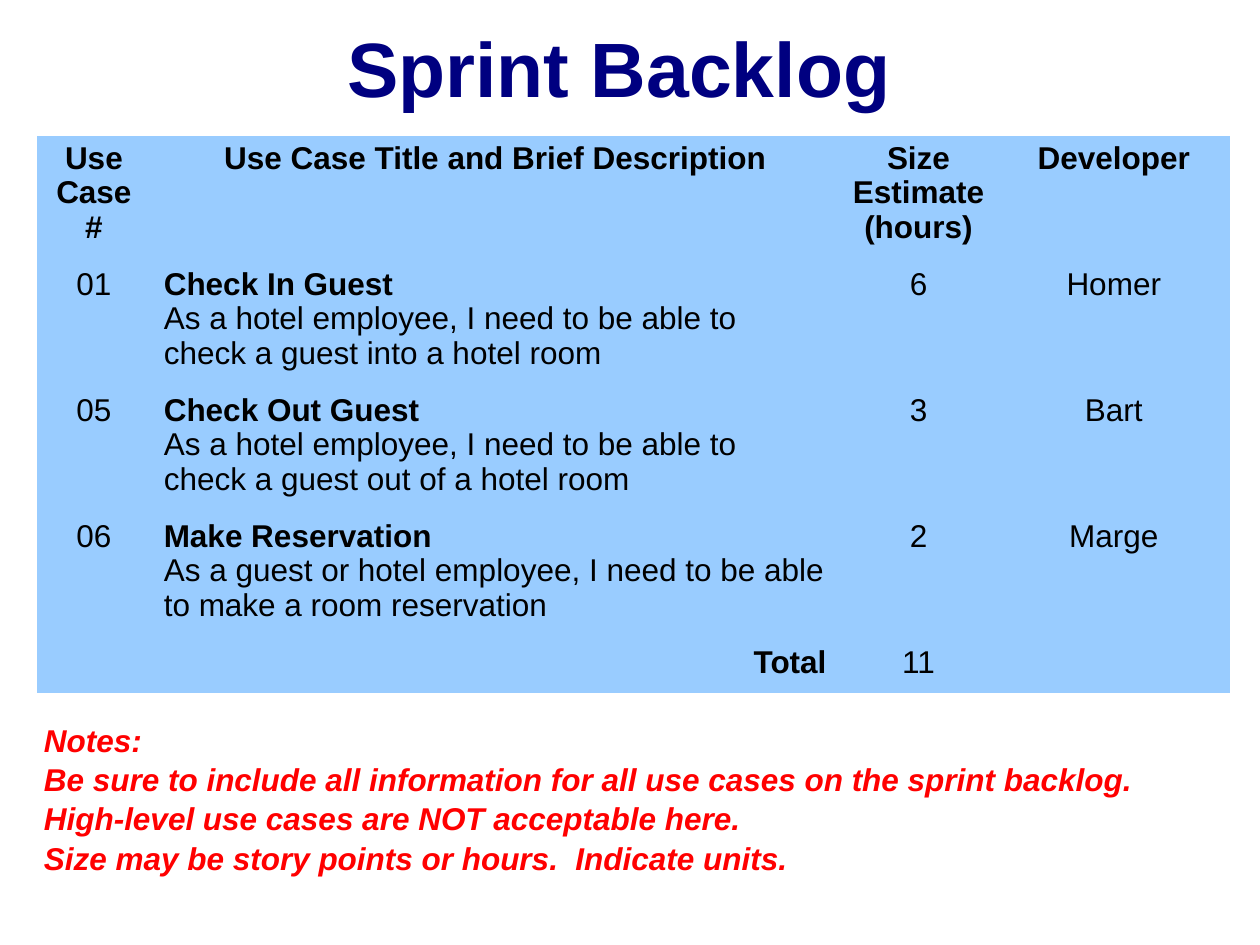
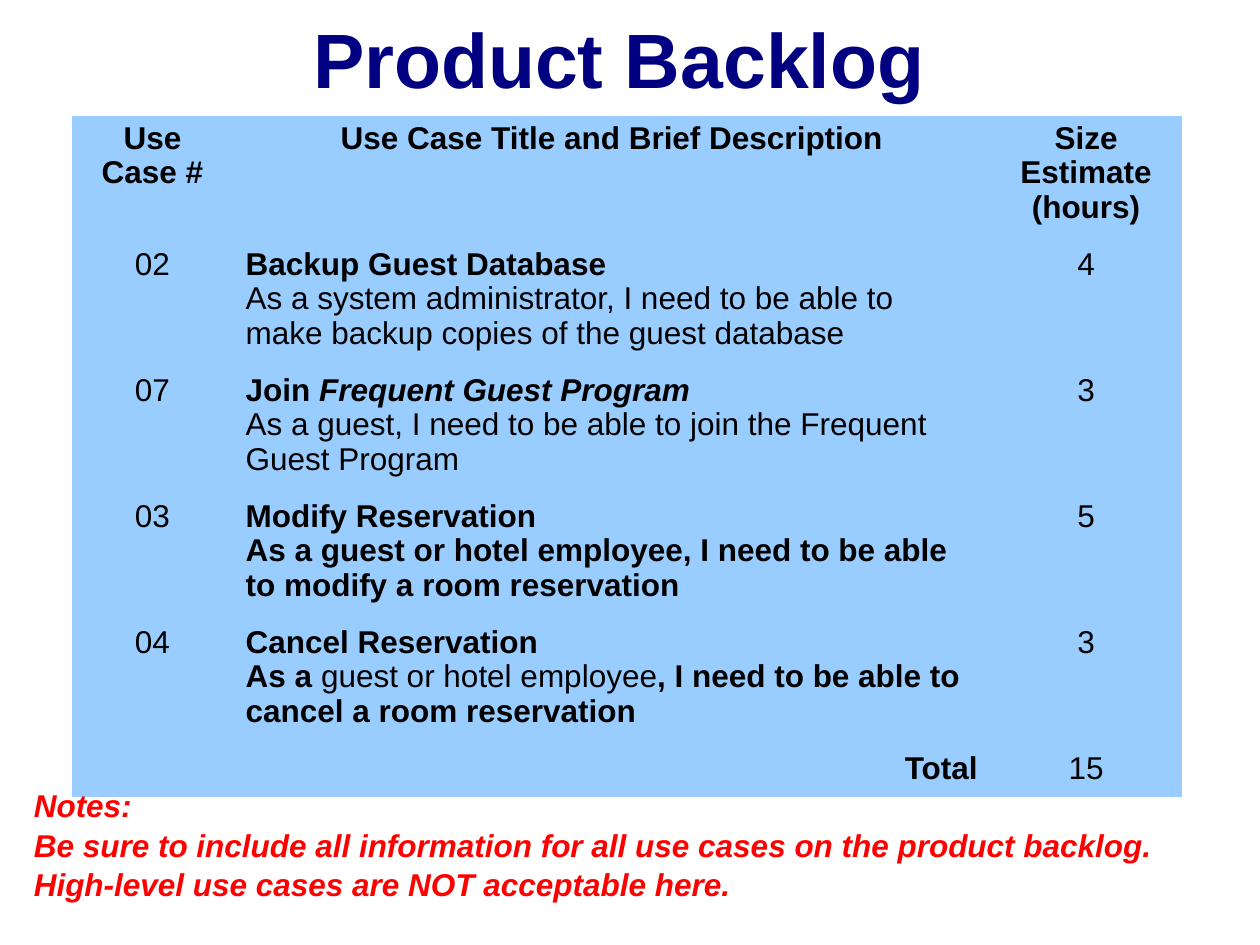
from pptx import Presentation
from pptx.dml.color import RGBColor
from pptx.enum.text import MSO_ANCHOR, PP_ALIGN
from pptx.util import Inches, Pt

LEFT, CENTER, RIGHT = PP_ALIGN.LEFT, PP_ALIGN.CENTER, PP_ALIGN.RIGHT
MIDDLE = MSO_ANCHOR.MIDDLE

COLORS = {"title": "000080", "cell": "99CCFF", "text": "000000", "notes": "FF0000"}
FONT = "Arial"
TITLE_SIZE, BODY_SIZE = 44, 18
TABLE_SPACING, NOTES_SPACING = 0.97, 1.04
ROW_HEIGHT = 1
PLAIN_TABLE = "{2D5ABB26-0587-4C30-8999-92F81FD0307C}"
TITLE_ONLY = 5

HEADERS = ["Use Case #", "Use Case Title and Brief Description",
           "Size Estimate\n(hours)", "Developer"]
NOTES = ["Notes:",
         "Be sure to include all information for all use cases on the {} backlog.",
         "High-level use cases are NOT acceptable here."]

BACKLOGS = [
    {
        "kind": "sprint",
        "title_top": 0.11,
        "table_at": (0.29, 1.08),
        "columns": [0.91, 5.46, 1.26, 1.84],
        "total_height": 0.42,
        "notes_at": (0.25, 5.66, 9.72, 1.3),
        "extra_notes": ["Size may be story points or hours.  Indicate units."],
        "cases": [
            ("01", [("Check In Guest", "b")],
             [("As a hotel employee, I need to be able to check a guest into a hotel room", "")],
             6, "Homer"),
            ("05", [("Check Out Guest", "b")],
             [("As a hotel employee, I need to be able to check a guest out of a hotel room", "")],
             3, "Bart"),
            ("06", [("Make Reservation", "b")],
             [("As a guest or hotel employee, I need to be able to make a room reservation", "")],
             2, "Marge"),
        ],
    },
    {
        "kind": "product",
        "title_top": 0.04,
        "table_at": (0.57, 0.92),
        "columns": [1.28, 6.01, 1.52],
        "total_height": 0.4,
        "notes_at": (0.17, 6.18, 9.72, 1),
        "extra_notes": [],
        "cases": [
            ("02", [("Backup Guest Database", "b")],
             [("As a system administrator, I need to be able to make backup copies "
               "of the guest database", "")], 4),
            ("07", [("Join ", "b"), ("Frequent Guest Program", "bi")],
             [("As a guest, I need to be able to join the Frequent Guest Program", "")], 3),
            ("03", [("Modify Reservation", "b")],
             [("As a guest or hotel employee, I need to be able to modify a room reservation",
               "b")], 5),
            ("04", [("Cancel Reservation", "b")],
             [("As a ", "b"), ("guest or hotel employee", ""),
              (", I need to be able to cancel a room reservation", "b")], 3),
        ],
    },
]


def rgb(name):
    return RGBColor.from_string(COLORS[name])


def write(tf, paragraphs, color, size=BODY_SIZE, align=LEFT, spacing=1.0):
    for i, runs in enumerate(paragraphs):
        p = tf.add_paragraph() if i else tf.paragraphs[0]
        p.alignment = align
        p.line_spacing = spacing
        for text, style in runs:
            r = p.add_run()
            r.text = text
            r.font.name = FONT
            r.font.size = Pt(size)
            r.font.bold = "b" in style
            r.font.italic = "i" in style
            r.font.color.rgb = rgb(color)


def lines(text, style=""):
    return [[(line, style)] for line in text.split("\n")]


def table_rows(backlog):
    count = len(backlog["columns"])
    yield [(lines(h, "b"), CENTER) for h in HEADERS[:count]]
    for number, title, story, size, *developer in backlog["cases"]:
        yield [(lines(number), CENTER), ([title, story], LEFT),
               *((lines(str(value)), CENTER) for value in (size, *developer))]
    total = sum(case[3] for case in backlog["cases"])
    row = [([], LEFT), (lines("Total", "b"), RIGHT), (lines(str(total)), CENTER)]
    yield row + [([], LEFT)] * (count - len(row))


def add_title(s, text, top):
    sp = s.shapes.title
    sp.left, sp.top, sp.width, sp.height = map(Inches, (0.5, top, 9, 0.84))
    sp.text_frame.vertical_anchor = MIDDLE
    write(sp.text_frame, lines(text, "b"), "title", TITLE_SIZE, CENTER)


def add_backlog(s, backlog):
    rows = list(table_rows(backlog))
    columns = backlog["columns"]
    heights = [ROW_HEIGHT] * (len(rows) - 1) + [backlog["total_height"]]
    box = (*backlog["table_at"], sum(columns), sum(heights))
    table = s.shapes.add_table(len(rows), len(columns), *map(Inches, box)).table
    table.first_row = table.horz_banding = False
    table._tbl.tblPr[0].text = PLAIN_TABLE
    for column, width in zip(table.columns, columns):
        column.width = Inches(width)
    for row, height, contents in zip(table.rows, heights, rows):
        row.height = Inches(height)
        for cell, (paragraphs, align) in zip(row.cells, contents):
            cell.fill.solid()
            cell.fill.fore_color.rgb = rgb("cell")
            write(cell.text_frame, paragraphs, "text", align=align, spacing=TABLE_SPACING)


def add_notes(s, backlog):
    tf = s.shapes.add_textbox(*map(Inches, backlog["notes_at"])).text_frame
    tf.word_wrap = True
    text = "\n".join(NOTES + backlog["extra_notes"]).format(backlog["kind"])
    write(tf, lines(text, "bi"), "notes", spacing=NOTES_SPACING)


def main():
    prs = Presentation()
    prs.slide_width, prs.slide_height = Inches(10), Inches(7.5)
    for backlog in BACKLOGS:
        s = prs.slides.add_slide(prs.slide_layouts[TITLE_ONLY])
        add_title(s, f"{backlog['kind'].title()} Backlog ", backlog["title_top"])
        add_backlog(s, backlog)
        add_notes(s, backlog)
    prs.save("out.pptx")


if __name__ == "__main__":
    main()
